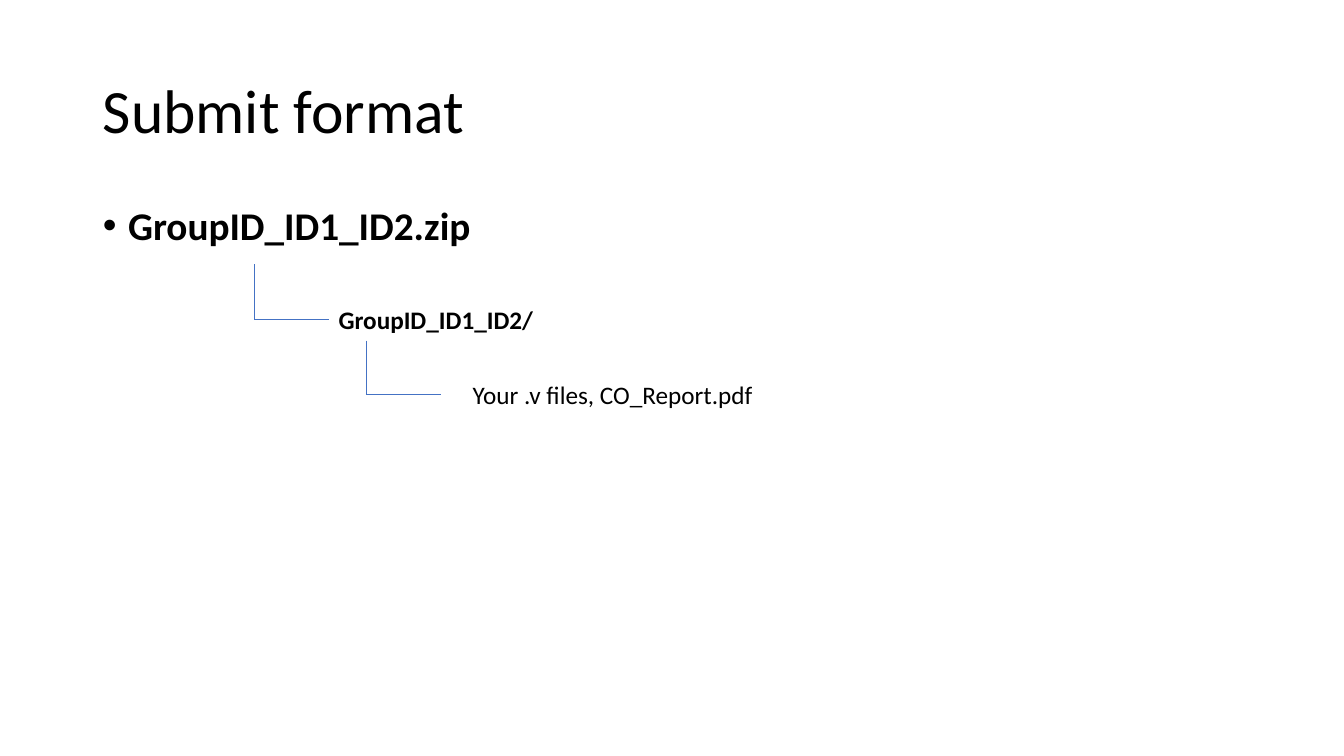
from lxml import etree
from pptx import Presentation
from pptx.dml.color import RGBColor
from pptx.enum.shapes import MSO_CONNECTOR
from pptx.enum.text import MSO_ANCHOR, MSO_AUTO_SIZE, PP_ALIGN
from pptx.oxml.ns import qn
from pptx.util import Inches, Pt

STRAIGHT = MSO_CONNECTOR.STRAIGHT
MIDDLE, TOP = MSO_ANCHOR.MIDDLE, MSO_ANCHOR.TOP
FIXED, GROW = MSO_AUTO_SIZE.NONE, MSO_AUTO_SIZE.SHAPE_TO_FIT_TEXT
LEFT = PP_ALIGN.LEFT

# Content
FONT, BLACK, BLUE = "Calibri", "000000", "4472C4"
TITLE = ("Submit format", (0.92, 0.4, 11.5, 1.45), 44, False, MIDDLE)
ROOT = ("GroupID_ID1_ID2.zip", (0.92, 2, 11.5, 4.76), 28, True, TOP)
# Tree levels: text, bold, box left, box width, wrap, branch left, branch top
LEVELS = [
    ("GroupID_ID1_ID2/", True, 3.26, 6.67, True, 2.52, 2.62),
    ("Your .v files, CO_Report.pdf", False, 4.59, 3.07, False, 3.63, 3.38),
]
FIRST, STEP = 3.17, 0.74  # middle of the first level, gap between levels
HIGH, ARM = 0.4, 0.74     # box height, length of a branch's arm


def color(code):
    return RGBColor.from_string(code)


def write(frame, text, size, bold):
    para = frame.paragraphs[0]
    para.alignment = LEFT
    run = para.add_run()
    run.text = text
    font = run.font
    font.name, font.size, font.bold = FONT, Pt(size), bold
    font.color.rgb = color(BLACK)
    return para


def fill(holder, text, place, size, bold, anchor):
    holder.left, holder.top, holder.width, holder.height = map(Inches, place)
    frame = holder.text_frame
    frame.auto_size, frame.vertical_anchor = FIXED, anchor
    para = write(frame, text, size, bold)
    para.line_spacing = 0.9
    return para


def draw(x1, y1, x2, y2):
    line = slide.shapes.add_connector(STRAIGHT, *map(Inches, (x1, y1, x2, y2)))
    line.line.color.rgb = color(BLUE)
    line.line.width = Pt(0.5)
    etree.SubElement(line._element.spPr, qn("a:effectLst"))
    return line


deck = Presentation()
deck.slide_width, deck.slide_height = Inches(13.33), Inches(7.5)
slide = deck.slides.add_slide(deck.slide_layouts[1])

# Title and bulleted root
fill(slide.shapes.title, *TITLE)
root = fill(slide.placeholders[1], *ROOT)
root.space_before = Pt(10)
props = root._p.get_or_add_pPr()
props.set("marL", str(Inches(0.25)))
props.set("indent", str(-Inches(0.25)))
etree.SubElement(props, qn("a:buFont"), typeface="Arial")
etree.SubElement(props, qn("a:buChar"), char="•")

# Tree levels with their branches
for i, (text, bold, left, width, wrap, stem, top) in enumerate(LEVELS):
    mid = FIRST + i * STEP
    place = (left, mid - HIGH / 2, width, HIGH)
    box = slide.shapes.add_textbox(*map(Inches, place))
    box.text_frame.word_wrap = wrap
    box.text_frame.auto_size = GROW
    write(box.text_frame, text, 18, bold)
    draw(stem, top, stem, mid)
    arm = draw(stem, mid, stem + ARM, mid)
    if round(stem + ARM, 2) == left:
        arm.end_connect(box, 1)

deck.save("out.pptx")
